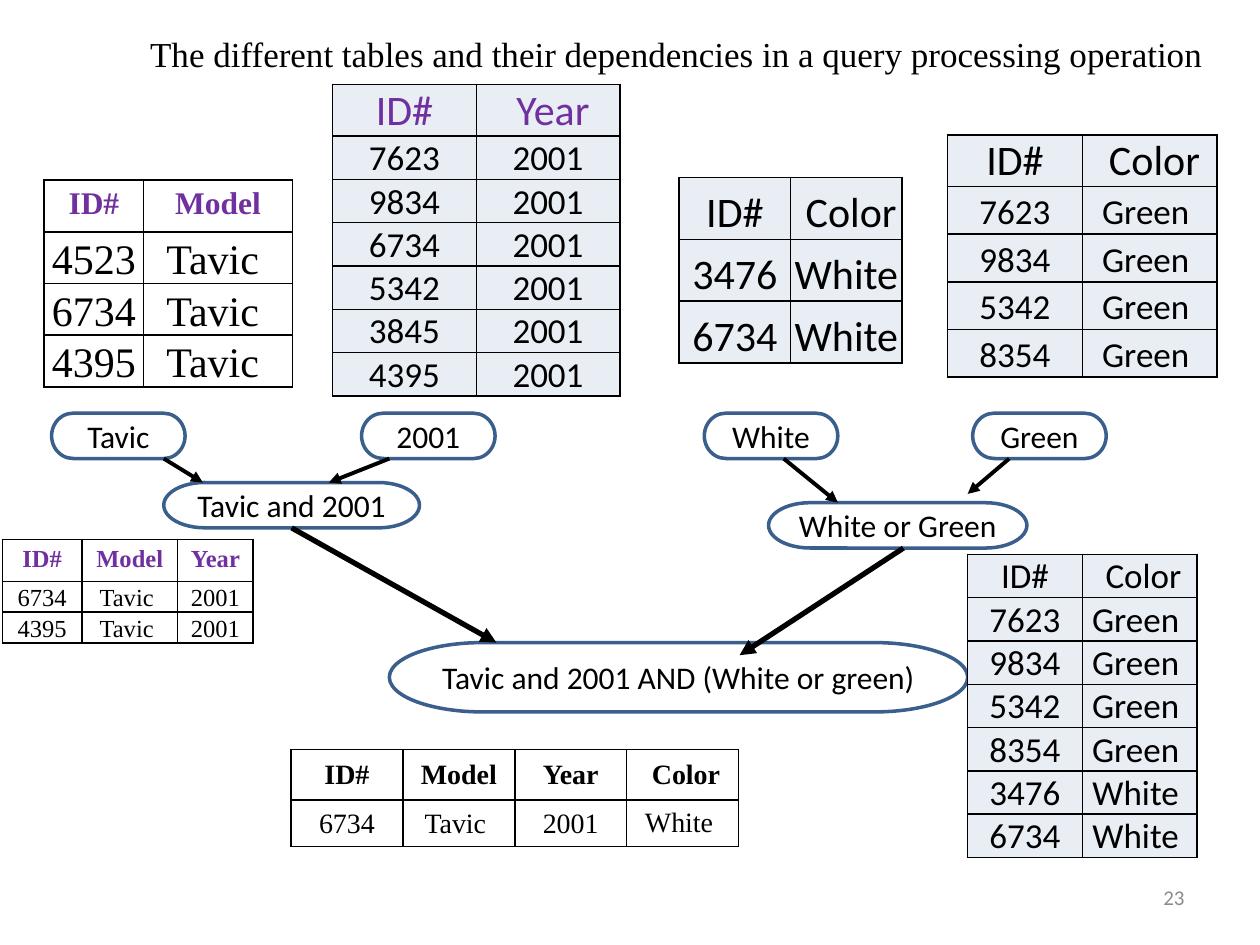
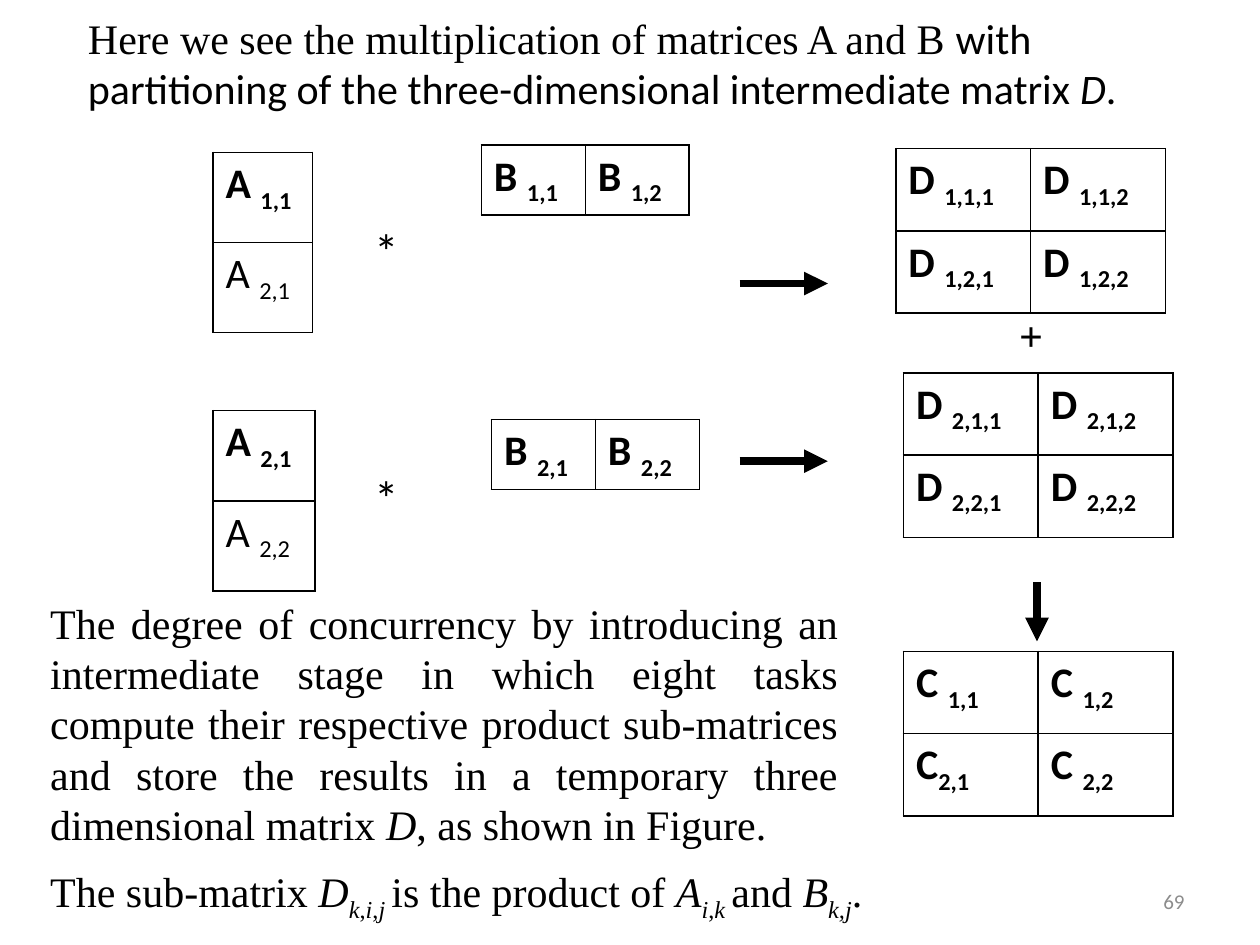
from lxml.etree import SubElement
from pptx import Presentation
from pptx.dml.color import RGBColor
from pptx.enum.shapes import MSO_CONNECTOR as LINE, MSO_SHAPE as SHAPE
from pptx.enum.text import MSO_ANCHOR as ANCHOR, MSO_AUTO_SIZE as FIT, PP_ALIGN as ALIGN
from pptx.oxml.ns import qn
from pptx.util import Inches, Pt

BLACK, PURPLE, GREY = "000000", "7030A0", "8C8C8C"
BLUE, PALE = "3A5F8C", "E9EDF4"
SERIF, SANS = "Times New Roman", "Calibri"
CENTER, RIGHT, JUSTIFY = ALIGN.CENTER, ALIGN.RIGHT, ALIGN.JUSTIFY
COLUMNS = 100  # square grid cells: 100 columns by 75 rows


def rgb(value):
    return RGBColor.from_string(value)


class Deck:
    """Holds the shared style and the slide being built."""

    def __init__(self):
        self.prs = Presentation()
        self.prs.slide_width, self.prs.slide_height = Inches(10), Inches(7.5)
        self.unit = self.prs.slide_width / COLUMNS

    def grid(self, *cells):
        return [round(n * self.unit) for n in cells]

    def slide(self, number, number_row):
        self.s = self.prs.slides.add_slide(self.prs.slide_layouts[6])
        self.text(str(number), (71.7, number_row, 23.3, 4), 12, SANS, color=GREY,
                  align=RIGHT, anchor=ANCHOR.MIDDLE, fit=FIT.NONE)

    def put_text(self, tf, content, size, font, color=BLACK, bold=False, align=None):
        """Content is a string or (text, marks) pairs: i italic, s subscript, c sans."""
        p = tf.paragraphs[0]
        if isinstance(content, str):
            content = [(content, "")]
        p.text = content[0][0]
        for words, _ in content[1:]:
            p.add_run().text = words
        p.alignment = align
        for r, (_, marks) in zip(p.runs, content):
            r.font.size, r.font.bold = Pt(size), bold
            r.font.name = SANS if "c" in marks else font
            r.font.italic = "i" in marks
            r.font.color.rgb = rgb(color)
            if "s" in marks:
                r.font._element.set("baseline", "-25000")

    def text(self, content, box, size, font=SERIF, anchor=ANCHOR.TOP,
             fit=FIT.SHAPE_TO_FIT_TEXT, **style):
        tf = self.s.shapes.add_textbox(*self.grid(*box)).text_frame
        tf.word_wrap, tf.auto_size, tf.vertical_anchor = True, fit, anchor
        self.put_text(tf, content, size, font, **style)

    def terminator(self, label, box):
        sp = self.s.shapes.add_shape(SHAPE.FLOWCHART_TERMINATOR, *self.grid(*box))
        sp.shadow.inherit = False
        sp.fill.background()
        sp.line.color.rgb, sp.line.width = rgb(BLUE), Pt(2)
        sp.text_frame.vertical_anchor = ANCHOR.MIDDLE
        self.put_text(sp.text_frame, label, 18, SANS, align=CENTER)
        return sp

    def arrow(self, start, end, width, source=None):
        cx = self.s.shapes.add_connector(LINE.STRAIGHT, *self.grid(*start, *end))
        if source is not None:
            cx.begin_connect(source, 2)
        cx.line.color.rgb, cx.line.width = rgb(BLACK), Pt(width)
        spPr = cx._element.spPr
        SubElement(spPr.find(qn("a:ln")), qn("a:tailEnd"), type="triangle")
        SubElement(spPr, qn("a:effectLst"))

    def borders(self, cell):
        tcPr = cell._tc.get_or_add_tcPr()
        for side in ("a:lnL", "a:lnR", "a:lnT", "a:lnB"):
            ln = SubElement(tcPr, qn(side), w=str(Pt(1)))
            fill = SubElement(ln, qn("a:solidFill"))
            SubElement(fill, qn("a:srgbClr"), val=BLACK)

    def table(self, rows, at, widths, heights, fill=None):
        """Return the cells row by row, ruled and filled, still without text."""
        size = sum(widths), sum(heights)
        table = self.s.shapes.add_table(len(rows), len(widths),
                                        *self.grid(*at, *size)).table
        table.first_row = table.horz_banding = False
        for column, width in zip(table.columns, self.grid(*widths)):
            column.width = width
        for row, height in zip(table.rows, self.grid(*heights)):
            row.height = height
        for cell in table.iter_cells():
            self.borders(cell)
            if fill:
                cell.fill.solid()
                cell.fill.fore_color.rgb = rgb(fill)
            else:
                cell.fill.background()
        return [list(row.cells) for row in table.rows]

    def data(self, rows, at, widths, heights, sizes, font=SANS, head=BLACK,
             anchor=ANCHOR.BOTTOM):
        """Records under a header; serif tables are unfilled with a roomy bold header."""
        serif = font == SERIF
        heights = [heights[0]] + [heights[1]] * (len(rows) - 1)
        cells = self.table(rows, at, widths, heights, None if serif else PALE)
        for i, (line, values) in enumerate(zip(cells, rows)):
            header = i == 0
            for cell, value in zip(line, values):
                if header and serif:
                    cell.vertical_anchor = ANCHOR.MIDDLE if anchor == ANCHOR.MIDDLE else ANCHOR.TOP
                else:
                    cell.vertical_anchor = anchor
                    cell.margin_left = cell.margin_right = cell.margin_top = Inches(0.01)
                    cell.margin_bottom = 0
                self.put_text(cell.text_frame, value, sizes[0 if header else 1], font,
                              color=head if header else BLACK,
                              bold=header and serif, align=CENTER)
        return cells

    def matrix(self, rows, at, width, height, light_rows=()):
        """Blocks such as "A 1,1": a letter followed by its subscript."""
        cells = self.table(rows, at, [width] * len(rows[0]), [height] * len(rows))
        for i, (line, blocks) in enumerate(zip(cells, rows)):
            for cell, block in zip(line, blocks):
                cut = 2 if block[1] == " " else 1
                self.put_text(cell.text_frame, [(block[:cut], ""), (block[cut:], "s")],
                              24, SANS, bold=i not in light_rows)


def records(header, ids, *values):
    return [header] + [(key, *values) for key in ids]


def query_slide(d):
    d.slide(23, 69.2)
    d.text("The different tables and their dependencies in a query processing operation",
           (9.4, 2.1, 88.6, 4.4), 20, align=CENTER)

    # Source tables
    model, year, color = "Tavic ", "2001", ("ID#", " Color")
    green = records(color, ("7623", "9834", "5342", "8354"), "Green ")
    white = records(color, ("3476", "6734"), "White ")
    d.data(records(("ID#", "Model"), ("4523", "6734", "4395"), model),
           (3.5, 14.3), (7.9, 11.8), (4.1, 4.1), (18, 24), SERIF, PURPLE)
    d.data(records(("ID#", " Year"), ("7623", "9834", "6734", "5342", "3845", "4395"), year),
           (26.4, 6.7), (11.4, 11.4), (4.1, 3.43), (24, 20), head=PURPLE)
    d.data(green, (75.2, 10.7), (10.7, 10.7), (4.1, 3.78), (24, 20))
    d.data(white, (53.9, 14.1), (8.85, 8.85), (4.9, 4.9), (24, 24))

    # Query steps
    for label, left in (("Tavic", 4.1), ("2001", 28.7), ("White", 55.9), ("Green", 77.2)):
        d.terminator(label, (left, 32.8, 10.6, 3.6))
    both = d.terminator("Tavic and 2001", (13, 38.3, 20.3, 3.6))
    d.terminator("White or Green", (61, 39.9, 20.5, 3.6))
    d.terminator("Tavic and 2001 AND (White or green)", (30.9, 51, 45.9, 5.5))

    # Dependencies
    for start, end in (((13, 36.4), (16.1, 38.3)), ((30.9, 36.4), (26.1, 38.3)),
                       ((62.2, 36.4), (66.5, 39.9)), ((80.1, 36.4), (76.8, 39.2))):
        d.arrow(start, end, 2.25)
    d.arrow((23.1, 41.9), (39.4, 51), 3, source=both)
    d.arrow((71.7, 43.5), (58.7, 52), 3)

    # Joined tables
    d.data(records(("ID#", "Model", "Year"), ("6734", "4395"), model, year),
           (0.2, 42.8), (6.3, 7.6, 6), (3.3, 2.45), (14, 14), SERIF, PURPLE)
    d.data(green + white[1:], (76.8, 44), (9.1, 9.1), (3.44, 3.44), (20, 20))
    cells = d.data(records(("ID#", "Model", "Year", " Color"), ("6734",), model, year, "White "),
                   (23.1, 59.5), [8.88] * 4, (4, 3.6), (16, 16), SERIF,
                   anchor=ANCHOR.MIDDLE)
    last = cells[-1][-1]
    last.margin_left = last.margin_right = Inches(0.1)
    last.margin_top = last.margin_bottom = Inches(0.05)


def matrix_slide(d):
    d.slide(69, 69.5)
    d.text([("Here we see the multiplication of matrices A and B ", ""),
            ("with partitioning of the three-dimensional intermediate matrix ", "c"),
            ("D", "ci"), (".", "c")], (6, 0.5, 92, 9.1), 24)

    # Factors
    d.matrix([["A 1,1"], ["A 2,1"]], (16.9, 12.1), 7.9, 7.15, light_rows=[1])
    d.matrix([["A 2,1"], ["A 2,2"]], (16.9, 32.6), 8.1, 7.15, light_rows=[1])
    d.matrix([["B 1,1", "B 1,2"]], (38.2, 11.5), 8.25, 5.5)
    d.matrix([["B 2,1", "B 2,2"]], (39, 33.3), 8.25, 5.5)
    for top in (17, 36.6):
        d.text("*", (28.7, top, 5.5, 5.7), 28, SANS)

    # Partial products and their sum
    for name, left, top in (("D 1,", 71.1, 11.8), ("D 2,", 71.7, 29.6)):
        d.matrix([[f"{name}{i},{j}" for j in (1, 2)] for i in (1, 2)],
                 (left, top), 10.7, 6.53)
    d.matrix([["C 1,1", "C 1,2"], ["C2,1", "C 2,2"]], (71.7, 51.7), 10.7, 6.53)
    d.text("+", (79.9, 24.1, 7.9, 5), 24, bold=True)
    for row in (22.5, 36.6):
        d.arrow((58.7, row), (65.7, row), 4.5)
    d.arrow((82.3, 46.2), (82.3, 50.9), 4.5)

    # Explanation
    d.text([("The degree of concurrency by introducing an intermediate stage in which "
             "eight tasks compute their respective product sub-matrices and store the "
             "results in a temporary three dimensional matrix ", ""),
            ("D", "i"), (", as shown in Figure. ", "")],
           (3, 46.9, 64.5, 21.2), 24, align=JUSTIFY)
    d.text([("The sub-matrix ", ""), ("D", "i"), ("k", "is"), (",", "s"), ("i", "is"),
            (",", "s"), ("j ", "is"), ("is the product of ", ""), ("A", "i"), ("i", "is"),
            (",", "s"), ("k ", "is"), ("and ", ""), ("B", "i"), ("k,j", "is"), (".", "")],
           (3, 68.2, 87.2, 5), 24)


def main():
    d = Deck()
    query_slide(d)
    matrix_slide(d)
    d.prs.save("out.pptx")


if __name__ == "__main__":
    main()
